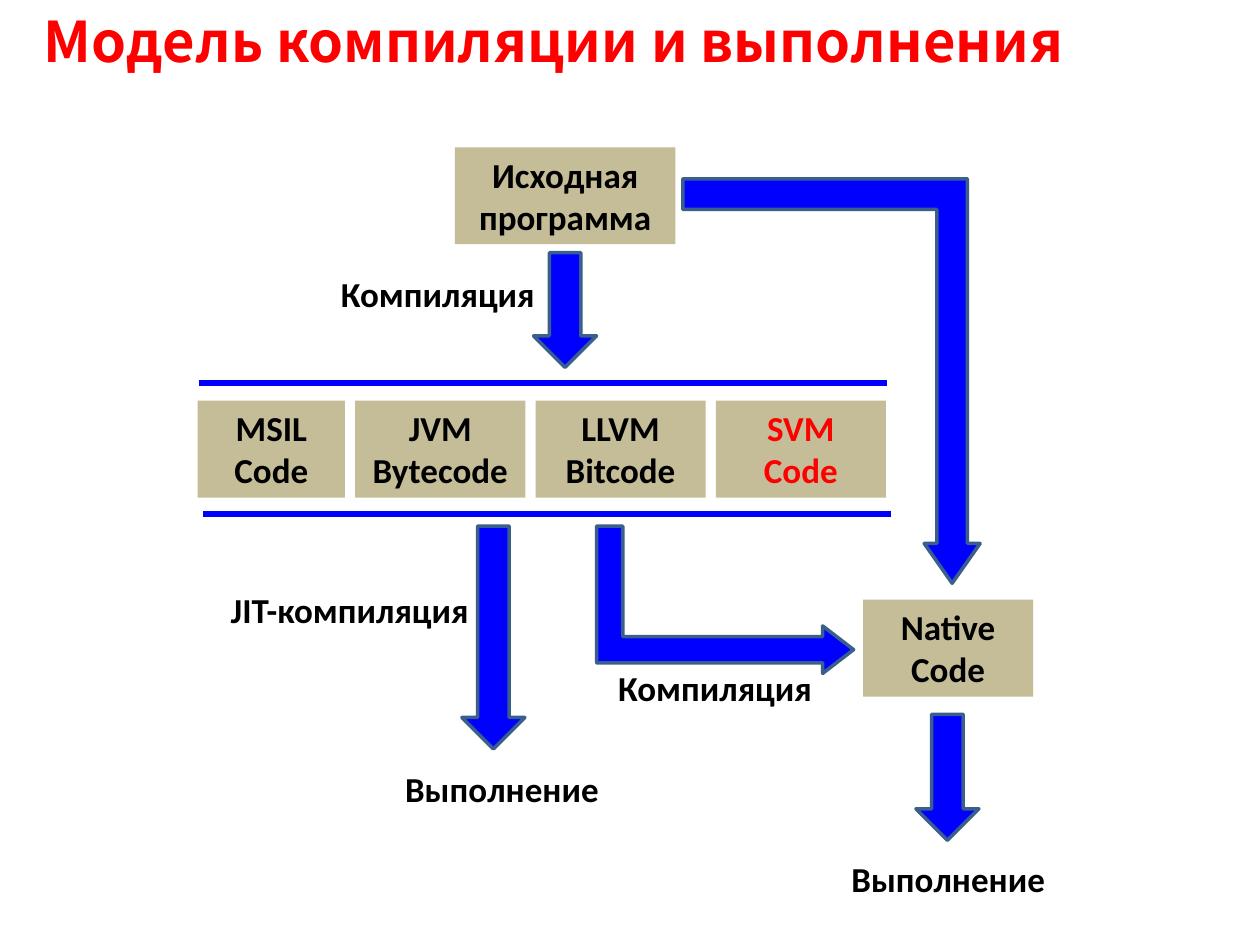
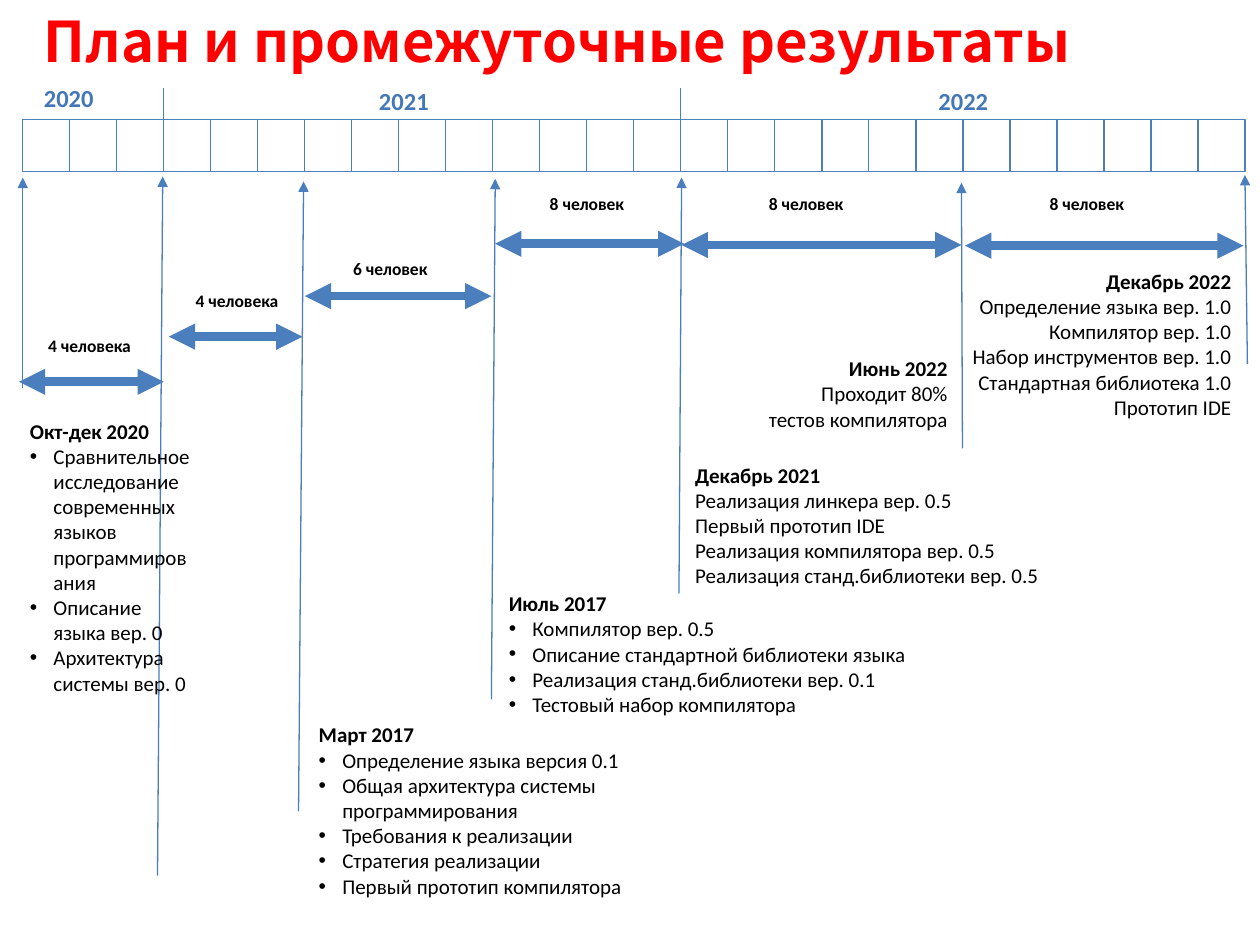
from dataclasses import dataclass
from lxml.etree import SubElement
from pptx import Presentation
from pptx.dml.color import RGBColor
from pptx.enum.shapes import MSO_CONNECTOR, MSO_SHAPE
from pptx.enum.text import MSO_ANCHOR, MSO_AUTO_SIZE, PP_ALIGN
from pptx.oxml.ns import qn
from pptx.shapes.base import BaseShape
from pptx.slide import Slide
from pptx.util import Pt


# Theme: colours, fonts, type sizes
@dataclass(frozen=True)
class Theme:
    red: str = "FF0000"
    black: str = "000000"
    tan: str = "C4BD97"
    blue: str = "0000FF"
    edge: str = "3A5F8C"
    steel: str = "4B7EBC"
    frame: str = "4F81BD"
    year: str = "4377B7"
    font: str = "Calibri"
    head: str = "Noto Sans CJK KR"
    title: int = 32
    box: int = 20
    date: int = 14
    note: int = 12
    staff: int = 10


T = Theme()
LEFT, MID, RIGHT = PP_ALIGN.LEFT, PP_ALIGN.CENTER, PP_ALIGN.RIGHT


@dataclass(frozen=True)
class Area:
    x: float
    y: float
    w: float
    h: float

    def emu(self) -> list:
        return [Pt(v) for v in (self.x, self.y, self.w, self.h)]


@dataclass(frozen=True)
class Style:
    size: int
    color: str = T.black
    font: str = T.font
    bold: bool = True
    align: PP_ALIGN = LEFT


@dataclass(frozen=True)
class Line:
    text: str
    style: Style
    bullet: bool = False


@dataclass(frozen=True)
class Note:
    area: Area
    head: str
    items: tuple
    bullet: bool = False
    align: PP_ALIGN = LEFT


@dataclass(frozen=True)
class Span:
    start: float
    end: float
    y: float
    text: str
    mid: float
    top: float


# Drawing functions
def rgb(code: str) -> RGBColor:
    return RGBColor.from_string(code)


def write(shape: BaseShape, lines: list, wrap: bool = True,
          anchor: MSO_ANCHOR = MSO_ANCHOR.TOP) -> None:
    frame = shape.text_frame
    frame.word_wrap = wrap
    frame.auto_size = MSO_AUTO_SIZE.SHAPE_TO_FIT_TEXT
    frame.vertical_anchor = anchor
    for i, line in enumerate(lines):
        para = frame.add_paragraph() if i else frame.paragraphs[0]
        style = line.style
        para.alignment = style.align
        if line.bullet:
            props = para._p.get_or_add_pPr()
            props.set("marL", str(Pt(13.5)))
            props.set("indent", str(-Pt(13.5)))
            SubElement(props, qn("a:buFont")).set("typeface", "Arial")
            SubElement(props, qn("a:buChar")).set("char", "•")
        for j, part in enumerate(line.text.split("\n")):
            if j:
                para.add_line_break()
            run = para.add_run()
            run.text = part
            run.font.size = Pt(style.size)
            run.font.name = style.font
            run.font.bold = style.bold
            run.font.color.rgb = rgb(style.color)


def label(slide: Slide, area: Area, lines: list, wrap: bool = True,
          anchor: MSO_ANCHOR = MSO_ANCHOR.TOP) -> None:
    write(slide.shapes.add_textbox(*area.emu()), lines, wrap, anchor)


def title(slide: Slide, text: str) -> None:
    style = Style(T.title, T.red, T.head)
    label(slide, Area(18, 0, 620.6, 46), [Line(text, style)],
          anchor=MSO_ANCHOR.MIDDLE)


def box(slide: Slide, area: Area, text: str, color: str = T.black) -> None:
    shape = slide.shapes.add_shape(MSO_SHAPE.RECTANGLE, *area.emu())
    shape.shadow.inherit = False
    shape.fill.solid()
    shape.fill.fore_color.rgb = rgb(T.tan)
    shape.line.fill.background()
    write(shape, [Line(text, Style(T.box, color, align=MID))])


def arrow(slide: Slide, kind: MSO_SHAPE, area: Area, turn: int,
          bends: tuple = (), flip: bool = False) -> None:
    shape = slide.shapes.add_shape(kind, *area.emu())
    shape.shadow.inherit = False
    shape.rotation = turn
    for i, bend in enumerate(bends):
        shape.adjustments[i] = bend
    if flip:
        shape._element.spPr.find(qn("a:xfrm")).set("flipH", "1")
    shape.fill.solid()
    shape.fill.fore_color.rgb = rgb(T.blue)
    shape.line.color.rgb = rgb(T.edge)
    shape.line.width = Pt(2)


def down(slide: Slide, mid: float, top: float, size: float) -> None:
    wide = 36
    area = Area(mid - size / 2, top + (size - wide) / 2, size, wide)
    arrow(slide, MSO_SHAPE.RIGHT_ARROW, area, 90)


def rule(slide: Slide, x1: float, y1: float, x2: float, y2: float,
         color: str = T.steel, width: float = 0.75, tips: tuple = ()) -> None:
    link = slide.shapes.add_connector(
        MSO_CONNECTOR.STRAIGHT, Pt(x1), Pt(y1), Pt(x2), Pt(y2))
    link.line.color.rgb = rgb(color)
    link.line.width = Pt(width)
    for tip in tips:
        SubElement(link.line._ln, qn(tip)).set("type", "triangle")
    SubElement(link._element.spPr, qn("a:effectLst"))


deck = Presentation()
deck.slide_width, deck.slide_height = Pt(720), Pt(540)
blank = deck.slide_layouts[6]

# Slide 1: build and run model
model = deck.slides.add_slide(blank)
title(model, "Модель компиляции и выполнения")

# Code boxes
TALL, GAP = 55.4, 5.8
box(model, Area(260, 84.2, 126, TALL), "Исходная программа")
box(model, Area(493.2, 342.7, 97.2, TALL), "Native Code")
x = 113
for text, width, color in (("MSIL\nCode", 84.2, T.black),
                           ("JVM Bytecode", 97.2, T.black),
                           ("LLVM Bitcode", 97.2, T.black),
                           ("SVM Code", 97.2, T.red)):
    box(model, Area(x, 229, width, TALL), text, color)
    x += width + GAP

# Rules around the row of codes
for x, y in ((113.8, 218.9), (116, 293.8)):
    rule(model, x, y, x + 393.3, y, T.blue, 3)

# Block arrows
for mid, top, size in ((322.9, 144.4, 65.5), (281.9, 300.6, 127.4),
                       (541.4, 408.2, 72)):
    down(model, mid, top, size)
arrow(model, MSO_SHAPE.BENT_UP_ARROW, Area(372.2, 269.3, 84.2, 146.9), 90,
      (0.178, 0.161, 0.21))
arrow(model, MSO_SHAPE.BENT_UP_ARROW, Area(390.2, 102.2, 169.9, 231.1), 180,
      (0.103, 0.094, 0.134), True)

# Step labels
for x, y, width, text in ((187.2, 151.9, 126, "Компиляция"),
                          (345.6, 377.3, 126, "Компиляция"),
                          (116, 332.6, 167.8, "JIT-компиляция"),
                          (203, 434.9, 167.8, "Выполнение"),
                          (458, 486.7, 167.8, "Выполнение")):
    label(model, Area(x, y, width, 31.7),
          [Line(text, Style(T.box, align=MID))])

# Slide 2: timeline
plan = deck.slides.add_slide(blank)
title(plan, "План и промежуточные результаты")

# Month grid, with taller ticks where a year starts
MONTHS = 26
grid = Area(13, 68.4, 698.4, 29.5)
frame = plan.shapes.add_shape(MSO_SHAPE.RECTANGLE, *grid.emu())
frame.shadow.inherit = False
frame.fill.background()
frame.line.color.rgb = rgb(T.frame)
frame.line.width = Pt(0.75)
for month in range(1, MONTHS):
    x = grid.x + month * grid.w / MONTHS
    top = 50.4 if month in (3, 14) else grid.y
    rule(plan, x, top, x, grid.y + grid.h)
for x, y, text in ((18, 44, "2020"), (209.5, 45.4, "2021"),
                   (529.2, 45.4, "2022")):
    label(plan, Area(x, y, 43.2, 24.5),
          [Line(text, Style(T.date, T.year))], wrap=False)

# Milestone pointers
for ends in ((13, 101.5, 13, 221.8), (93, 100.8, 90, 500.4),
             (173.5, 103.7, 170.6, 463.7), (283, 102.2, 280.8, 399.6),
             (389.5, 101.5, 388, 339.1), (549.4, 104.4, 550, 256.3),
             (711.4, 100, 712.8, 208)):
    rule(plan, *ends, tips=("a:headEnd",))

# Staff per stage
SPANS = (
    Span(10.8, 93.6, 218.2, "4 человека", 51.1, 187.9),
    Span(96.5, 172.8, 192.4, "4 человека", 135.4, 162),
    Span(174.2, 280.8, 169.2, "6 человек", 223, 144),
    Span(283, 391, 139.3, "8 человек", 335.4, 107),
    Span(389.5, 549.4, 140, "8 человек", 460.6, 106.6),
    Span(551.5, 710.6, 140.4, "8 человек", 621, 107),
)
for span in SPANS:
    rule(plan, span.start, span.y, span.end, span.y, width=5,
         tips=("a:headEnd", "a:tailEnd"))
    label(plan, Area(span.mid - 33.5, span.top, 67, 19.4),
          [Line(span.text, Style(T.staff, align=MID))])

# Results per milestone
NOTES = (
    Note(Area(10, 235.4, 108, 167), "Окт-дек 2020",
         ("Сравнительное исследование современных языков программирования",
          "Описание языка вер. 0", "Архитектура системы вер. 0"), True),
    Note(Area(175, 409, 241.2, 108.7), "Март 2017",
         ("Определение языка версия 0.1",
          "Общая архитектура системы программирования",
          "Требования к реализации", "Стратегия реализации",
          "Первый прототип компилятора"), True),
    Note(Area(283.7, 334, 268.6, 80), "Июль 2017",
         ("Компилятор вер. 0.5", "Описание стандартной библиотеки языка",
          "Реализация станд.библиотеки вер. 0.1",
          "Тестовый набор компилятора"), True),
    Note(Area(390.2, 260.6, 213.8, 80), "Декабрь 2021",
         ("Реализация линкера вер. 0.5", "Первый прототип IDE",
          "Реализация компилятора вер. 0.5",
          "Реализация станд.библиотеки вер. 0.5")),
    Note(Area(428.4, 199.7, 120.2, 51), "Июнь 2022",
         ("Проходит 80% тестов компилятора",), align=RIGHT),
    Note(Area(545.8, 149.8, 164.9, 94.3), "Декабрь 2022",
         ("Определение языка вер. 1.0", "Компилятор вер. 1.0",
          "Набор инструментов вер. 1.0", "Стандартная библиотека 1.0",
          "Прототип IDE"), align=RIGHT),
)
for note in NOTES:
    plain = Style(T.note, bold=False, align=note.align)
    lines = [Line(note.head, Style(T.note, align=note.align))]
    lines += [Line(item, plain, note.bullet) for item in note.items]
    label(plan, note.area, lines)

deck.save("out.pptx")
